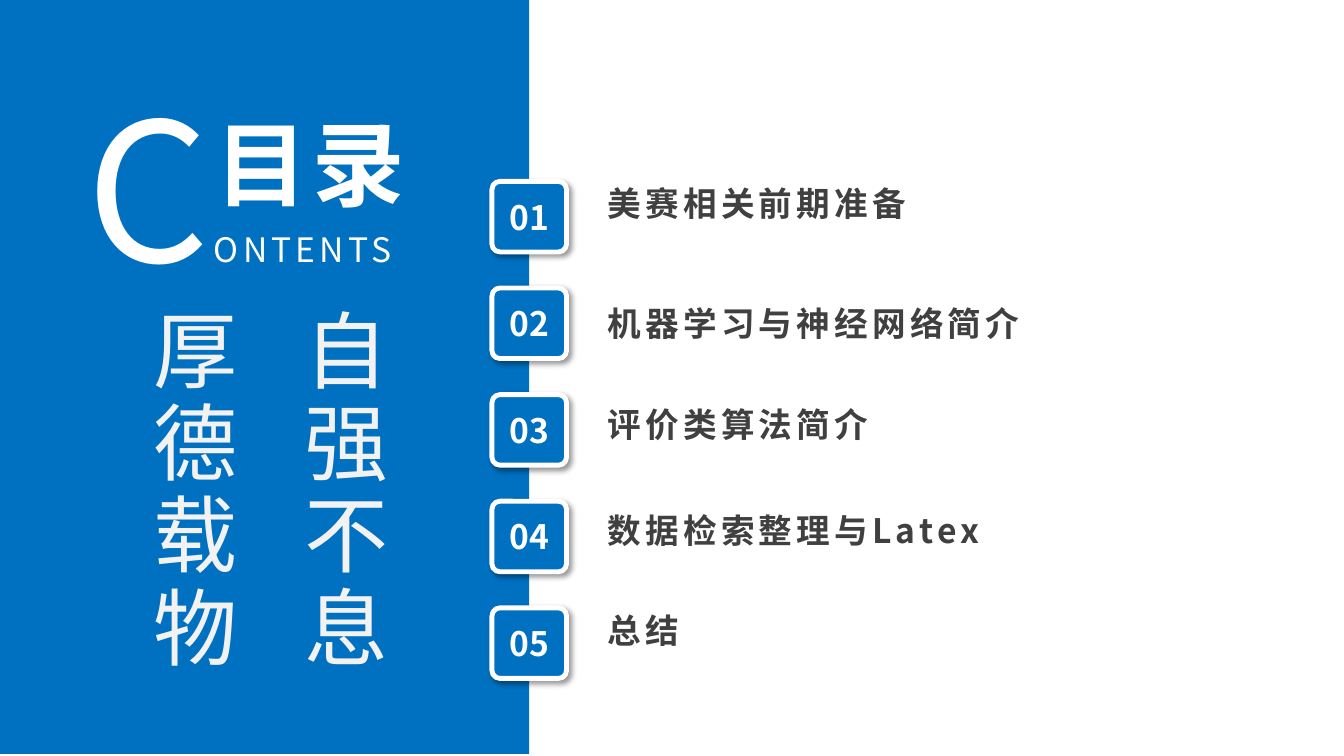
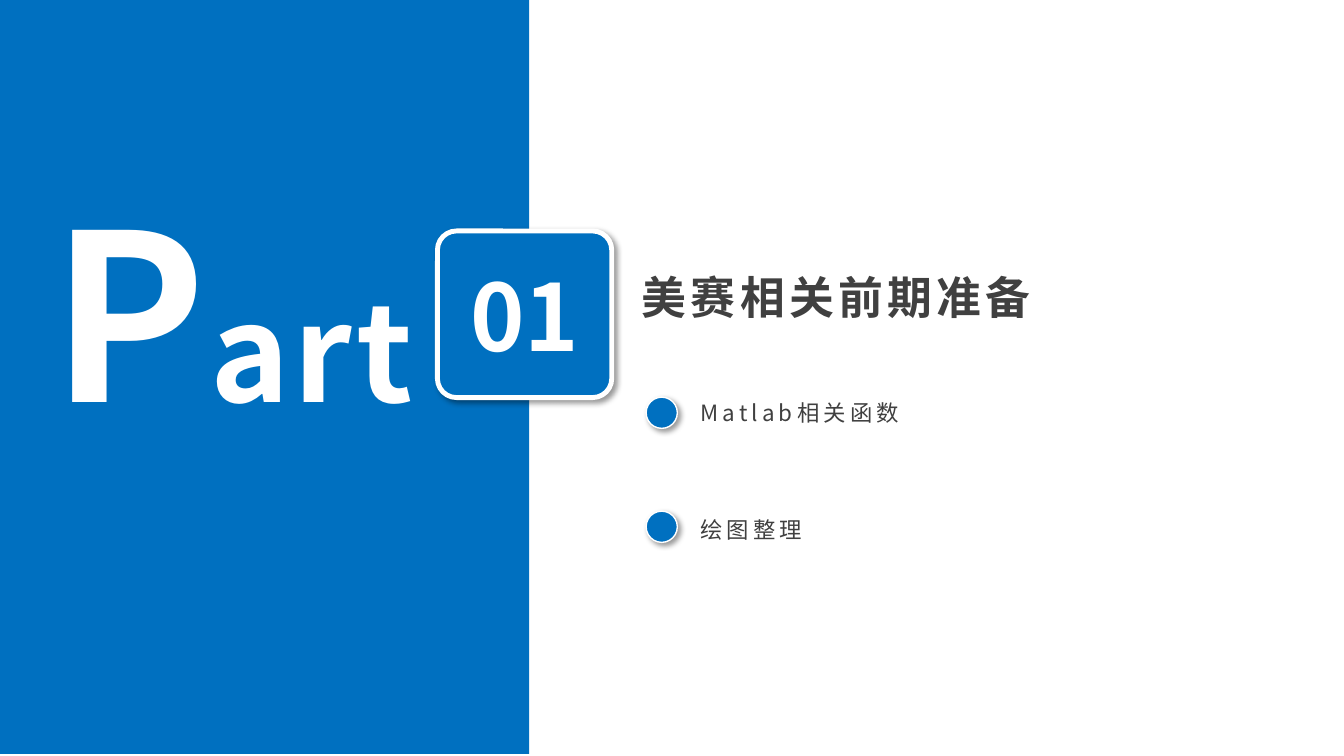
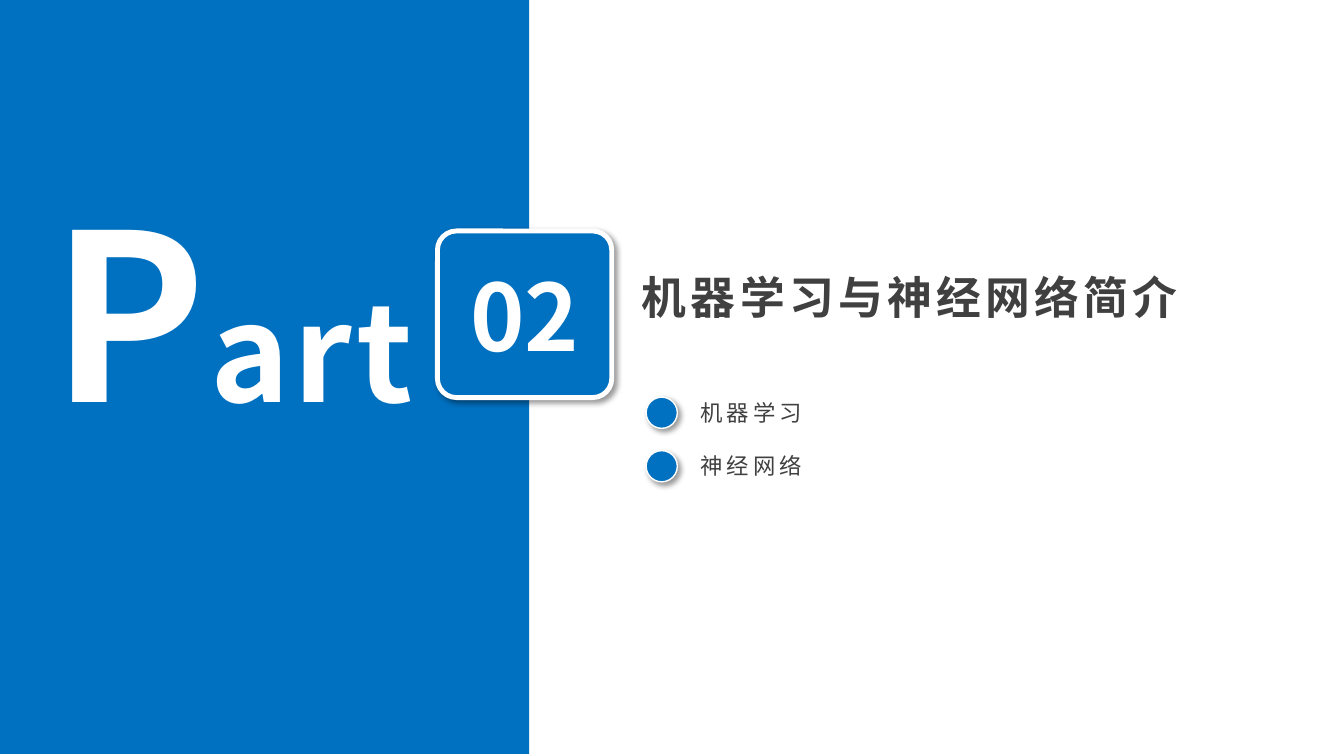
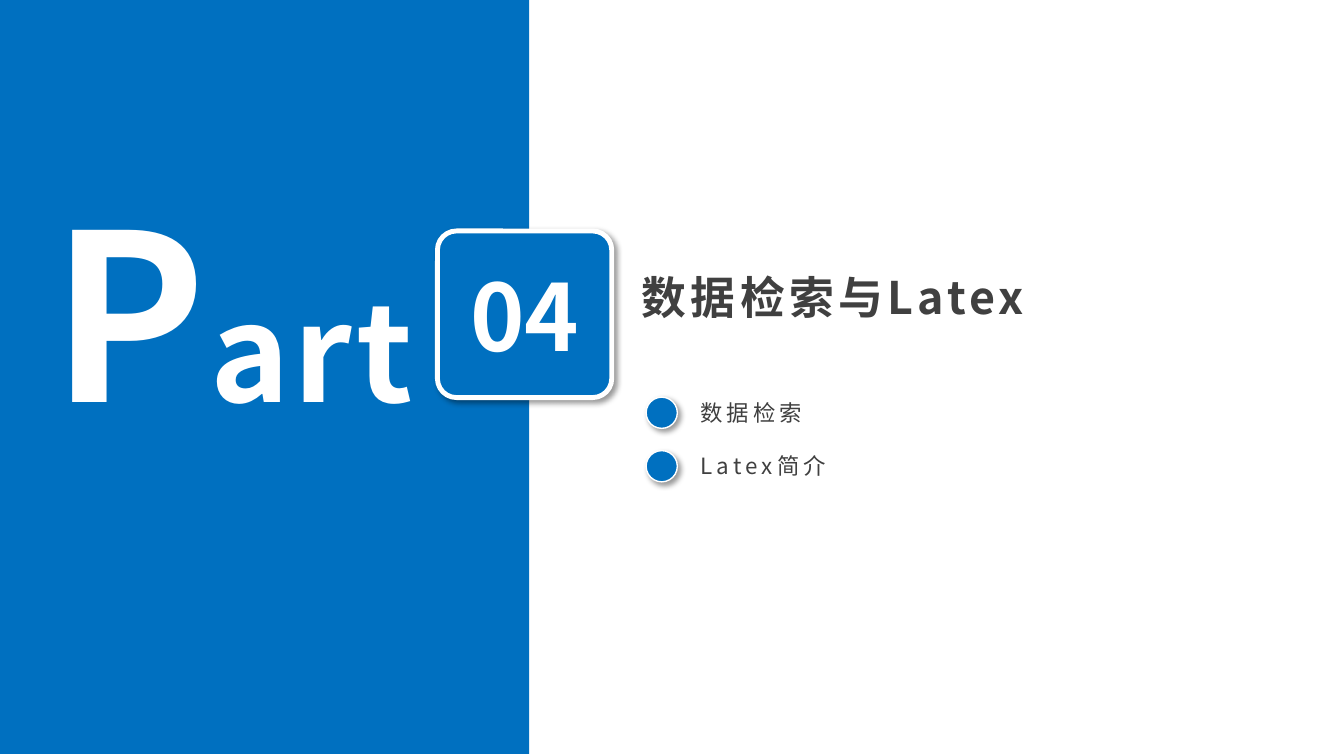
from dataclasses import dataclass

from lxml.etree import SubElement as Sub
from pptx import Presentation as Deck
from pptx.dml.color import RGBColor as Rgb
from pptx.enum.shapes import MSO_SHAPE as Form
from pptx.enum.text import MSO_ANCHOR as Anchor
from pptx.enum.text import MSO_AUTO_SIZE as Auto
from pptx.enum.text import PP_ALIGN as Align
from pptx.oxml.ns import qn
from pptx.util import Pt


@dataclass(frozen=True)
class Theme:
    font: str = "Noto Sans CJK SC"
    blue: str = "0070C0"
    white: str = "FFFFFF"
    pale: str = "F2F2F2"
    dark: str = "404040"
    shade: str = "000000"
    point: int = 16
    item: int = 24
    head: int = 32
    motto: int = 60
    title: int = 66
    rest: int = 96
    cap: int = 138
    giant: int = 166
    track: int = 3


T = Theme()


def style(run, size, color, bold=False, track=0):
    look = {"name": T.font, "size": Pt(size), "bold": bold}
    for key, value in look.items():
        setattr(run.font, key, value)
    run.font.color.rgb = Rgb.from_string(color)
    props = run._r.get_or_add_rPr()
    if track:
        props.set("spc", str(track * 100))
    Sub(props, qn("a:ea"), typeface=T.font)


def write(para, runs, color, bold=False, track=0, align=Align.LEFT):
    para.alignment = align
    for text, size in runs:
        run = para.add_run()
        run.text = text
        style(run, size, color, bold, track)


def label(slide, box, lines, color, bold=False, track=T.track,
          align=Align.LEFT, wrap=True):
    frame = slide.shapes.add_textbox(*map(Pt, box)).text_frame
    look = {"word_wrap": wrap, "auto_size": Auto.SHAPE_TO_FIT_TEXT}
    for key, value in look.items():
        setattr(frame, key, value)
    for i, runs in enumerate(lines):
        para = frame.add_paragraph() if i else frame.paragraphs[0]
        write(para, runs, color, bold, track, align)
    return frame


def shape(slide, form, box, edge=0):
    item = slide.shapes.add_shape(form, *map(Pt, box))
    item.shadow.inherit = False
    item.fill.solid()
    item.fill.fore_color.rgb = Rgb.from_string(T.blue)
    if edge:
        item.line.color.rgb = Rgb.from_string(T.white)
        item.line.width = Pt(edge)
        shade(item)
    else:
        item.line.fill.background()
    return item


def shade(item):
    fx = item._element.spPr.find(qn("a:effectLst"))
    drop = Sub(fx, qn("a:outerShdw"), blurRad=str(Pt(4)), dist=str(Pt(3)),
               dir="2700000", algn="tl", rotWithShape="0")
    tint = Sub(drop, qn("a:srgbClr"), val=T.shade)
    Sub(tint, qn("a:alpha"), val="40000")


def badge(slide, box, text, size):
    item = shape(slide, Form.ROUNDED_RECTANGLE, box, 3.5)
    item.adjustments[0] = 0.114
    frame = item.text_frame
    look = {"margin_left": 0, "margin_right": 0, "margin_top": 0,
            "margin_bottom": 0, "vertical_anchor": Anchor.MIDDLE,
            "word_wrap": True}
    for key, value in look.items():
        setattr(frame, key, value)
    write(frame.paragraphs[0], [(text, size)], T.white, True,
          align=Align.CENTER)


def start(deck):
    slide = deck.slides.add_slide(deck.slide_layouts[6])
    shape(slide, Form.RECTANGLE, (0, -1.5, 378, 540))
    return slide


def motto(slide):
    lines = [[(text, T.motto)] for text in ("自强不息", "厚德载物")]
    frame = label(slide, (88.5, 213, 232.5, 296), lines, T.pale, track=6,
                  align=Align.JUSTIFY, wrap=False)
    frame._txBody.bodyPr.set("vert", "eaVert")
    for para in frame.paragraphs:
        para.line_spacing = 1.5


def contents(deck, items):
    slide = start(deck)
    label(slide, (54.7, 46, 265, 174), [[("C", T.cap), ("ONTENTS", T.item)]],
          T.white, align=Align.JUSTIFY)
    label(slide, (147, 72.7, 175.7, 87), [[("目录", T.title)]], T.white, True,
          align=Align.JUSTIFY)
    for i, (text, top) in enumerate(items):
        badge(slide, (351.4, 129.6 + i * 76.15, 53.3, 50.4),
              f"{i + 1:02}", T.item)
        label(slide, (427, top, 342, 36), [[(text, T.item)]], T.dark, True)
    motto(slide)


def divide(deck, num, head, points, dot=38.16, row=38.16):
    slide = start(deck)
    label(slide, (-59.8, 118, 451.5, 208), [[("P", T.giant), ("art", T.rest)]],
          T.white, True, align=Align.CENTER)
    badge(slide, (312.5, 165, 124.5, 119), num, T.title)
    label(slide, (451.5, 189.4, 417.6, 46), [[(head, T.head)]], T.dark, True)
    for i, text in enumerate(points):
        shape(slide, Form.OVAL, (461.5, 283.7 + i * dot, 22.3, 22.3), 1)
        label(slide, (493.2, 281.5 + i * row, 241, 26.6),
              [[(text, T.point)]], T.dark)


def main():
    deck = Deck()
    deck.slide_width, deck.slide_height = Pt(960), Pt(540)
    contents(deck, [
        ("美赛相关前期准备", 127.4),
        ("机器学习与神经网络简介", 213.1),
        ("评价类算法简介", 285.1),
        ("数据检索整理与Latex", 360.7),
        ("总结", 432),
    ])
    divide(deck, "01", "美赛相关前期准备", ["Matlab相关函数", "绘图整理"],
           81.4, 83.5)
    divide(deck, "02", "机器学习与神经网络简介", ["机器学习", "神经网络"])
    divide(deck, "04", "数据检索与Latex", ["数据检索", "Latex简介"])
    deck.save("out.pptx")


if __name__ == "__main__":
    main()
